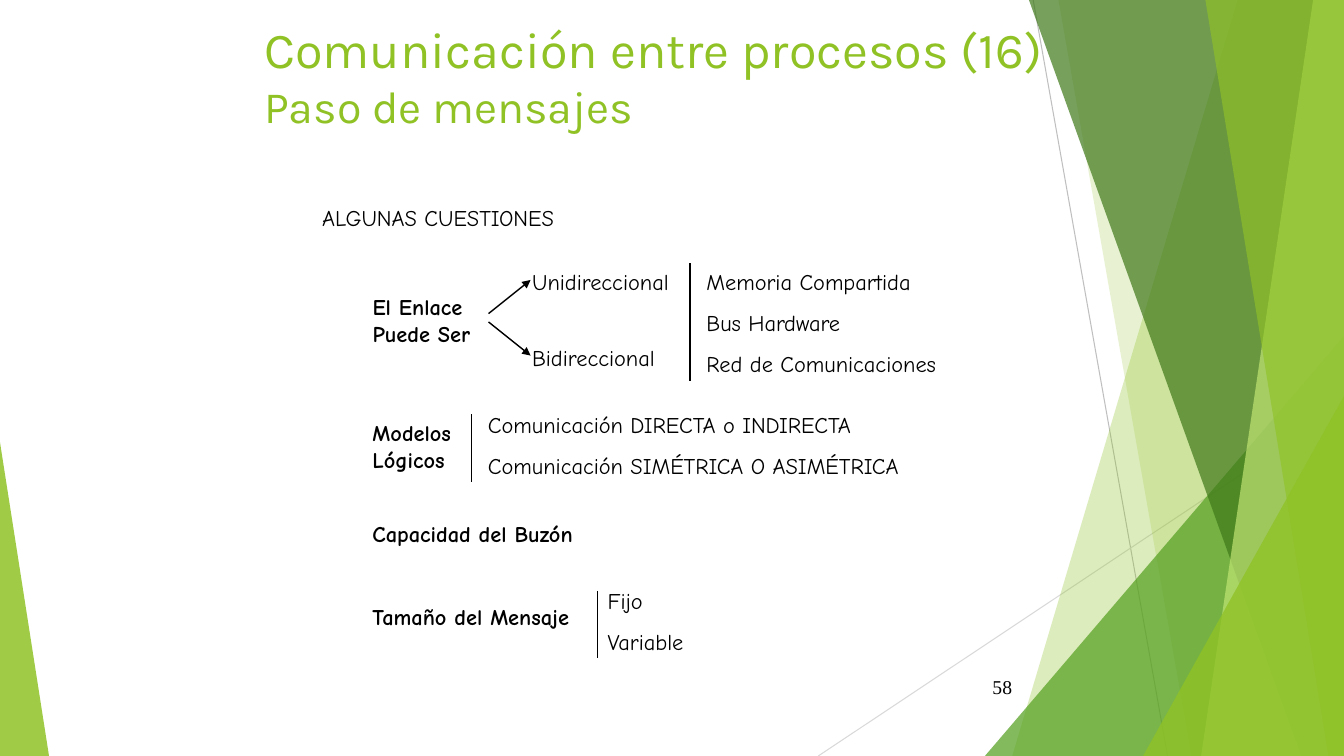
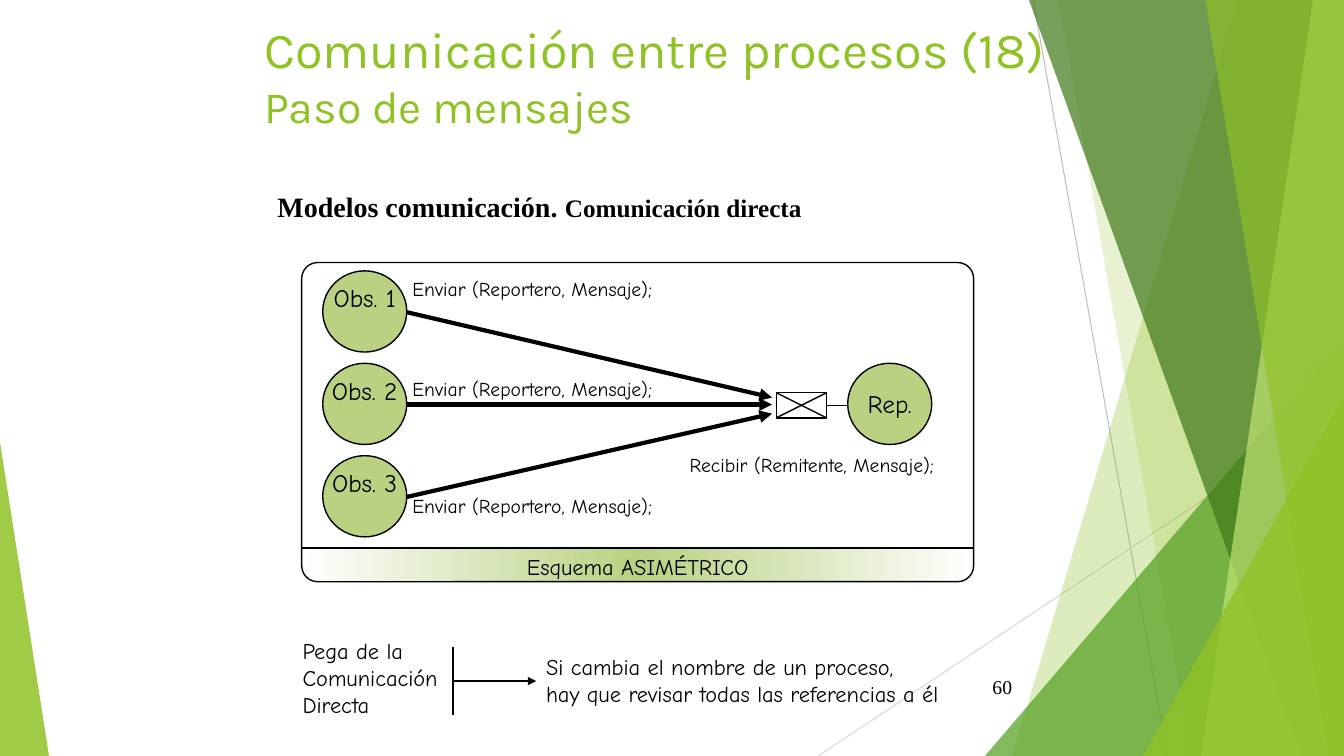
from copy import deepcopy

from lxml.etree import SubElement
from pptx import Presentation
from pptx.dml.color import RGBColor
from pptx.enum.shapes import MSO_CONNECTOR, MSO_SHAPE
from pptx.enum.text import MSO_ANCHOR, MSO_AUTO_SIZE, PP_ALIGN
from pptx.oxml.ns import qn
from pptx.util import Pt

WIDTH, HEIGHT = 960, 540
COLORS = {
    "black": "000000",
    "white": "FFFFFF",
    "lime": "90C226",
    "green": "54A021",
    "forest": "3F7819",
    "pale": "C0E474",
    "sage": "B9D181",
    "gray": "BFBFBF",
    "silver": "D9D9D9",
}
HAND, SERIF, DISPLAY = "Comic Neue", "Times New Roman", "Karla"
CALL = "Enviar (Reportero, Mensaje);"


def rgb(color):
    return RGBColor.from_string(COLORS[color])


def style(paragraph, size, font=HAND, bold=False, align=PP_ALIGN.LEFT, color="black"):
    paragraph.alignment = align
    paragraph.font.name = font
    paragraph.font.size = Pt(size)
    paragraph.font.bold = bold
    paragraph.font.color.rgb = rgb(color)


def paint(shape, fill=None, alpha=100, outline=None):
    shape.shadow.inherit = False
    if fill:
        shape.fill.solid()
        shape.fill.fore_color.rgb = rgb(fill)
        if alpha < 100:
            tint = shape.element.spPr.find(".//" + qn("a:srgbClr"))
            SubElement(tint, qn("a:alpha")).set("val", str(alpha * 1000))
    else:
        shape.fill.background()
    if outline:
        shape.line.color.rgb = rgb(outline)
        shape.line.width = Pt(1)
    else:
        shape.line.fill.background()


def preset(shapes, kind, x, y, width, height, **look):
    shape = shapes.add_shape(kind, Pt(x), Pt(y), Pt(width), Pt(height))
    paint(shape, **look)
    return shape


def connect(shapes, x1, y1, x2, y2, width=1, color="black", arrow=False):
    link = shapes.add_connector(MSO_CONNECTOR.STRAIGHT, Pt(x1), Pt(y1), Pt(x2), Pt(y2))
    link.line.color.rgb = rgb(color)
    link.line.width = Pt(width)
    if arrow:
        SubElement(link.element.spPr.find(qn("a:ln")), qn("a:tailEnd")).set("type", "triangle")
    SubElement(link.element.spPr, qn("a:effectLst"))


def label(slide, x, y, width, height, *lines, size=16, **look):
    frame = slide.shapes.add_textbox(Pt(x), Pt(y), Pt(width), Pt(height)).text_frame
    frame.word_wrap = True
    for index, line in enumerate(lines):
        paragraph = frame.add_paragraph() if index else frame.paragraphs[0]
        paragraph.text = line
        if index:
            paragraph.space_before = Pt(10)
        style(paragraph, size, **look)
    return frame


def panel(shapes, top_x, bottom_x, fill, alpha):
    outline = shapes.build_freeform(Pt(top_x), 0)
    outline.add_line_segments(
        [(Pt(WIDTH), 0), (Pt(WIDTH), Pt(HEIGHT)), (Pt(bottom_x), Pt(HEIGHT))], close=True)
    paint(outline.convert_to_shape(), fill, alpha)


def wedge(shapes, x, y, width, apex, fill, alpha):
    shape = preset(shapes, MSO_SHAPE.ISOSCELES_TRIANGLE, x, y, width, HEIGHT - y,
                   fill=fill, alpha=alpha)
    shape.adjustments[0] = apex


def install_backdrop(layout, slide):
    group = slide.shapes.add_group_shape()
    shapes = group.shapes
    connect(shapes, 738, 0, 834, HEIGHT, 0.75, "gray")
    connect(shapes, WIDTH, 290, 584.5, HEIGHT, 0.75, "silver")
    panel(shapes, 884, 723, "lime", 30)
    panel(shapes, 756, 851, "lime", 20)
    wedge(shapes, 703.5, 240, 256.5, 1, "green", 72)
    panel(shapes, 735, 929.5, "forest", 70)
    panel(shapes, 938, 858, "pale", 70)
    panel(shapes, 861, 949, "lime", 65)
    wedge(shapes, 816.5, 283, 143.5, 1, "lime", 80)
    wedge(shapes, 0, 316, 35, 0, "lime", 85)
    tree = layout.shapes.element
    tree.insert(2, group.element)
    for number, properties in enumerate(tree.iter(qn("p:cNvPr")), 1):
        properties.set("id", str(number))


def frame_slide(slide, part, page):
    title = slide.shapes.title
    title.left, title.top, title.width, title.height = Pt(181.5), Pt(8.5), Pt(612), Pt(90)
    frame = title.text_frame
    frame.auto_size = MSO_AUTO_SIZE.NONE
    frame.vertical_anchor = MSO_ANCHOR.BOTTOM
    paragraph = frame.paragraphs[0]
    style(paragraph, 36, DISPLAY, color="lime")
    paragraph.add_run().text = f"Comunicación entre procesos ({part})"
    paragraph.add_line_break()
    subtitle = paragraph.add_run()
    subtitle.text = "Paso de mensajes"
    subtitle.font.size = Pt(32)
    number = label(slide, 676, 476, 54, 29, str(page), size=14, font=SERIF, align=PP_ALIGN.RIGHT)
    number.vertical_anchor = MSO_ANCHOR.MIDDLE


def bracket(slide, x, y, width, bar_drop, bar_height, options, indent=0):
    connect(slide.shapes, x, y + bar_drop, x, y + bar_drop + bar_height)
    label(slide, x + indent, y, width, bar_height + bar_drop, *options)


def link_question(slide, left, top):
    label(slide, left, top + 18, 96, 46, "El Enlace Puede Ser", bold=True)
    for direction, drop, start, end in (("Unidireccional", 0, 36, 12),
                                        ("Bidireccional", 54, 42, 66)):
        label(slide, left + 114, top + drop, 126, 27, direction)
        connect(slide.shapes, left + 90, top + start, left + 120, top + end, arrow=True)
    bracket(slide, left + 234, top, 204, 0, 84,
            ("Memoria Compartida", "Bus Hardware", "Red de Comunicaciones"), 4.5)


def model_question(slide, left, top):
    label(slide, left, top + 6, 78, 46, "Modelos\nLógicos", bold=True)
    bracket(slide, left + 78, top, 360, 6, 48,
            ("Comunicación DIRECTA o INDIRECTA", "Comunicación SIMÉTRICA O ASIMÉTRICA"), 4.5)


def size_question(slide, left, top):
    label(slide, left, top + 11.5, 174, 27, "Tamaño del Mensaje", bold=True)
    bracket(slide, left + 168, top, 108, 6, 48, ("Fijo", "Variable"))


def questions_slide(slide):
    frame_slide(slide, 16, 58)
    left = 259
    label(slide, 223, 142.5, 234, 27, "ALGUNAS CUESTIONES")
    link_question(slide, left, 188)
    model_question(slide, left, 290)
    label(slide, left, 368, 186, 27, "Capacidad del Buzón", bold=True)
    size_question(slide, left, 416)


def process(slide, x, y, name, anchor=MSO_ANCHOR.TOP):
    circle = preset(slide.shapes, MSO_SHAPE.OVAL, x, y, 60, 58, fill="sage", outline="black")
    frame = circle.text_frame
    frame.word_wrap = False
    frame.vertical_anchor = anchor
    frame.margin_left = frame.margin_right = frame.margin_top = frame.margin_bottom = 0
    frame.text = name
    style(frame.paragraphs[0], 18, align=PP_ALIGN.CENTER)


def mailbox(slide, x, y, width, height):
    preset(slide.shapes, MSO_SHAPE.RECTANGLE, x, y, width, height, fill="white", outline="black")
    connect(slide.shapes, x, y + height, x + width, y)
    connect(slide.shapes, x, y, x + width, y + height)


def caption_band(slide, x, y, width, height, caption):
    band = preset(slide.shapes, MSO_SHAPE.RECTANGLE, x, y, width, height)
    band.fill.gradient()
    band.fill.gradient_angle = 0
    stops = band.element.spPr.find(".//" + qn("a:gsLst"))
    stops.append(deepcopy(stops[0]))
    for stop, color, position in zip(band.fill.gradient_stops,
                                     ("white", "sage", "white"), (0, 0.5, 1)):
        stop.color.rgb = rgb(color)
        stop.position = position
    band.text_frame.vertical_anchor = MSO_ANCHOR.TOP
    band.text_frame.text = caption
    style(band.text_frame.paragraphs[0], 16, align=PP_ALIGN.CENTER)


def asymmetric_scheme(slide, left, top, width, height):
    band_height = 24
    band_top = top + height - band_height
    caption_band(slide, left, band_top, width, band_height, "Esquema ASIMÉTRICO")
    for row, (call_drop, arrow_end) in enumerate(((6.5, 96.5), (78.5, 101.5), (162, 108))):
        y = top + 6 + row * 66
        process(slide, left + 15, y, f"Obs. {row + 1}")
        connect(slide.shapes, left + 75, y + 29.5, left + 336, top + arrow_end, 3, arrow=True)
        label(slide, left + 72, top + call_drop, 210, 24, CALL, size=14)
    process(slide, left + 390, top + 72, "Rep.", MSO_ANCHOR.MIDDLE)
    mailbox(slide, left + 339, top + 93, 36, 18)
    connect(slide.shapes, left + 390, top + 102, left + 375, top + 102)
    label(slide, left + 270, top + 132.5, 210, 24, "Recibir (Remitente, Mensaje);", size=14)
    border = preset(slide.shapes, MSO_SHAPE.ROUNDED_RECTANGLE, left, top, width, height,
                    outline="black")
    border.adjustments[0] = 0.05
    connect(slide.shapes, left, band_top, left + width, band_top)


def drawback(slide, left, top):
    label(slide, left, top, 126, 65, "Pega de la Comunicación\nDirecta")
    bar, middle, tip = left + 114.5, top + 35, left + 174
    connect(slide.shapes, bar, middle - 24, bar, middle + 24, 1.5)
    connect(slide.shapes, bar, middle, tip, middle, 1.5, arrow=True)
    label(slide, tip, top + 11.5, 330, 46,
          "Si cambia el nombre de un proceso,\nhay que revisar todas las referencias a él")


def direct_slide(slide):
    frame_slide(slide, 18, 60)
    heading = label(slide, 191, 132, 389, 32, "Modelos comunicación. ",
                    size=20, font=SERIF, bold=True)
    heading.word_wrap = False
    topic = heading.paragraphs[0].add_run()
    topic.text = "Comunicación directa"
    topic.font.size = Pt(18)
    asymmetric_scheme(slide, 215.5, 187.5, 480, 228)
    drawback(slide, 209, 451.5)


def main():
    deck = Presentation()
    deck.slide_width, deck.slide_height = Pt(WIDTH), Pt(HEIGHT)
    layout = deck.slide_layouts[5]
    questions, direct = (deck.slides.add_slide(layout) for _ in range(2))
    install_backdrop(layout, questions)
    questions_slide(questions)
    direct_slide(direct)
    deck.save("out.pptx")


if __name__ == "__main__":
    main()
